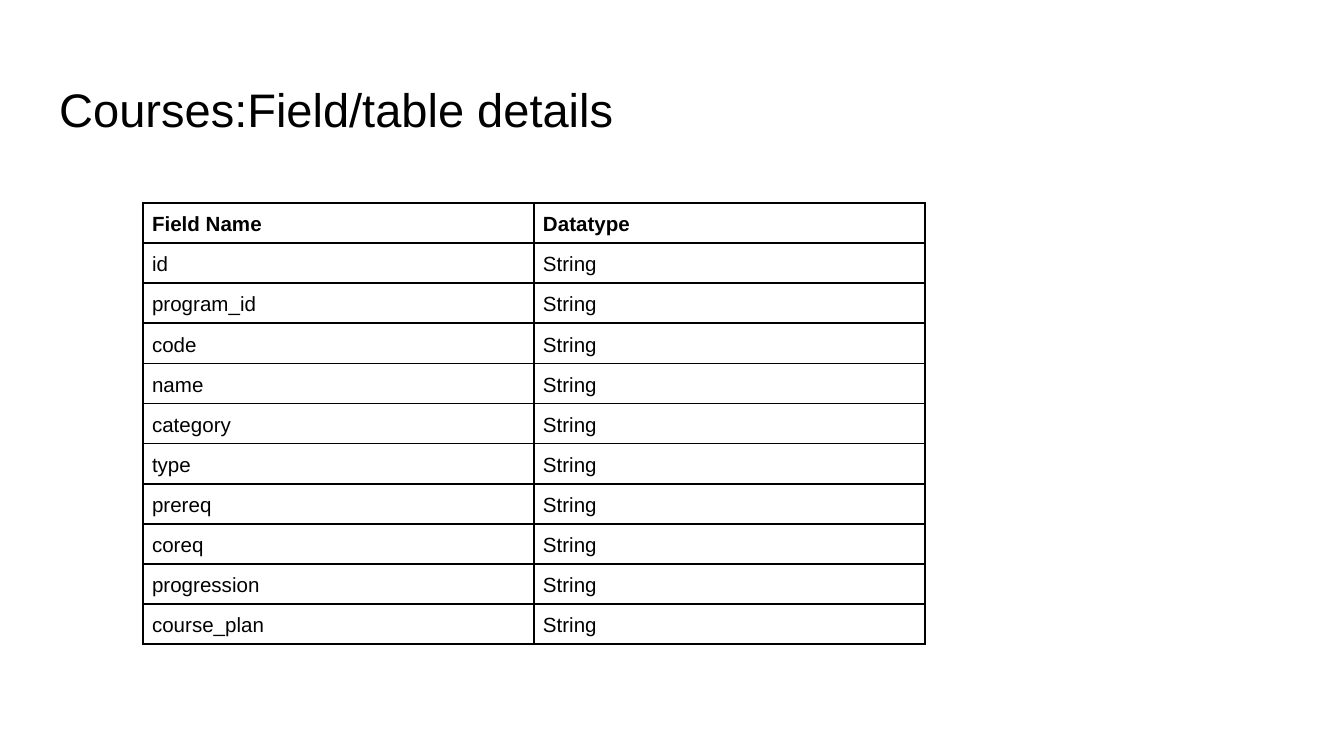
from lxml.etree import SubElement
from pptx import Presentation
from pptx.dml.color import RGBColor
from pptx.enum.text import MSO_ANCHOR
from pptx.oxml.ns import qn
from pptx.util import Emu, Pt

SCALE = 9144000 / 1344
BLACK = RGBColor(0x00, 0x00, 0x00)
FIELDS = ["id", "program_id", "code", "name", "category", "type",
          "prereq", "coreq", "progression", "course_plan"]
ROWS = [("Field Name", "Datatype")] + [(name, "String") for name in FIELDS]


def px(n):
    return Emu(round(n * SCALE))


def set_attrs(obj, values):
    for name, value in values.items():
        setattr(obj, name, value)


def write(tf, text, size, bold=False):
    p = tf.paragraphs[0]
    r = p.add_run()
    r.text = text
    set_attrs(r.font, {"name": "Arial", "size": Pt(size), "bold": bold})
    r.font.color.rgb = BLACK
    return p


def add_title(slide, text):
    tf = slide.shapes.add_textbox(px(46), px(66), px(1253), px(85)).text_frame
    set_attrs(tf, {"word_wrap": True, "vertical_anchor": MSO_ANCHOR.MIDDLE})
    write(tf, text, 25.2)


def add_borders(cell):
    """Draw a 1 pt black line on all four sides of the cell."""
    tc_pr = cell._tc.get_or_add_tcPr()
    for i, side in enumerate(("a:lnL", "a:lnR", "a:lnT", "a:lnB")):
        ln = SubElement(tc_pr, qn(side), w=str(Pt(1)))
        fill = SubElement(ln, qn("a:solidFill"))
        SubElement(fill, qn("a:srgbClr"), val=str(BLACK))
        tc_pr.remove(ln)
        tc_pr.insert(i, ln)


def format_cell(cell, text, bold):
    set_attrs(cell, {
        "margin_left": px(9), "margin_right": px(9),
        "margin_top": px(6), "margin_bottom": px(6),
        "vertical_anchor": MSO_ANCHOR.MIDDLE,
    })
    cell.fill.background()
    add_borders(cell)
    write(cell.text_frame, text, 11, bold).line_spacing = 1.14


def add_field_table(slide, rows):
    frame = slide.shapes.add_table(len(rows), len(rows[0]),
                                   px(143), px(203), px(782), px(436))
    table = frame.table
    set_attrs(table, {"first_row": False, "horz_banding": False})
    for i, row in enumerate(rows):
        for j, text in enumerate(row):
            format_cell(table.cell(i, j), text, bold=i == 0)


def main():
    prs = Presentation()
    set_attrs(prs, {"slide_width": px(1344), "slide_height": px(756)})
    slide = prs.slides.add_slide(prs.slide_layouts[6])
    add_title(slide, "Courses:Field/table details")
    add_field_table(slide, ROWS)
    prs.save("out.pptx")


if __name__ == "__main__":
    main()
